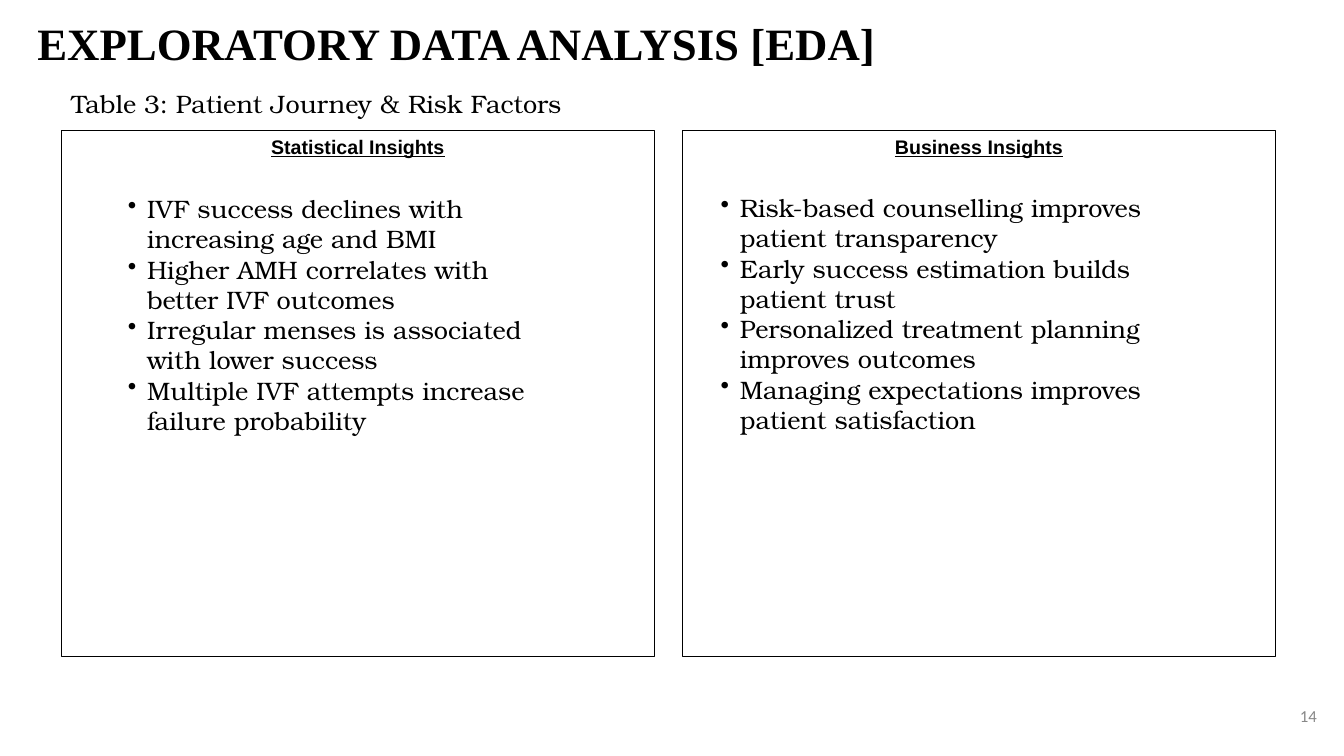
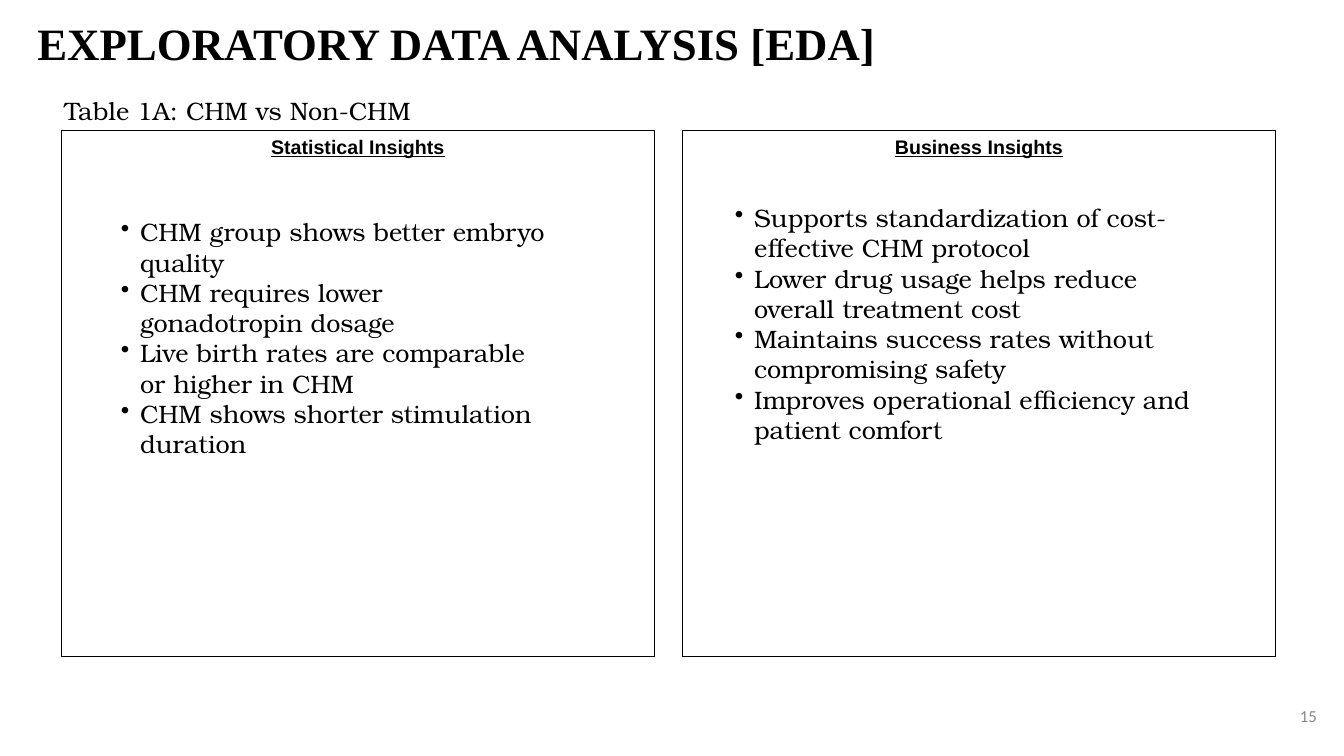
"""Build two exploratory data analysis slides with paired insight panels."""
from lxml import etree
from pptx import Presentation
from pptx.dml.color import RGBColor
from pptx.enum.shapes import MSO_SHAPE
from pptx.enum.text import MSO_ANCHOR, PP_ALIGN
from pptx.oxml.ns import qn
from pptx.util import Inches, Pt

RECT = MSO_SHAPE.RECTANGLE
MIDDLE = MSO_ANCHOR.MIDDLE
LEFT, CENTER, RIGHT = PP_ALIGN.LEFT, PP_ALIGN.CENTER, PP_ALIGN.RIGHT

TITLE = "EXPLORATORY DATA ANALYSIS [EDA]"
HEADINGS = ("Statistical Insights", "Business Insights")
SLIDES = [
    {
        "number": "14",
        "caption": ("Table 3: Patient Journey & Risk Factors", (0.61, 0.83, 6.69, 0.4)),
        "insights": [
            ((1.17, 1.87, 4.32, 2.52), [
                "IVF success declines with increasing age and BMI",
                "Higher AMH correlates with better IVF outcomes",
                "Irregular menses is associated with lower success",
                "Multiple IVF attempts increase failure probability",
            ]),
            ((7.05, 1.86, 4.79, 2.52), [
                "Risk-based counselling improves patient transparency",
                "Early success estimation builds patient trust",
                "Personalized treatment planning improves outcomes",
                "Managing expectations improves patient satisfaction",
            ]),
        ],
    },
    {
        "number": "15",
        "caption": ("Table 1A: CHM vs Non-CHM", (0.54, 0.9, 6.69, 0.4)),
        "insights": [
            ((1.1, 2.1, 4.45, 2.52), [
                "CHM group shows better embryo quality",
                "CHM requires lower gonadotropin dosage",
                "Live birth rates are comparable or higher in CHM",
                "CHM shows shorter stimulation duration",
            ]),
            ((7.19, 1.96, 4.76, 2.52), [
                "Supports standardization of cost-effective CHM protocol",
                "Lower drug usage helps reduce overall treatment cost",
                "Maintains success rates without compromising safety",
                "Improves operational efficiency and patient comfort",
            ]),
        ],
    },
]

BLACK, GREY = "000000", "888888"
TITLE_FONT = {"name": "Times New Roman", "size": Pt(32), "bold": True}
HEADING_FONT = {"name": "Arial", "size": Pt(14), "bold": True, "underline": True}
BODY_FONT = {"name": "TeX Gyre Bonum", "size": Pt(18)}
NUMBER_FONT = {"name": "Calibri", "size": Pt(12)}

TITLE_BOX = (0.27, 0.16, 10.11, 0.59)
NUMBER_BOX = (12.73, 6.94, 0.43, 0.32)
PANEL_LEFT, PANEL_TOP, PANEL_W, PANEL_H, PANEL_GAP = 0.61, 1.29, 5.88, 5.22, 0.28
HEADING_H = 0.34
BULLET_INDENT = Inches(0.19)


def rgb(value):
    return RGBColor.from_string(value)


def inches(box):
    return [Inches(v) for v in box]


def add_bullet(p):
    pPr = p._p.get_or_add_pPr()
    pPr.set("marL", str(BULLET_INDENT))
    pPr.set("indent", str(-BULLET_INDENT))
    etree.SubElement(pPr, qn("a:buChar")).set("char", "•")


def write(tf, lines, font, color=BLACK, align=LEFT, bullets=False):
    tf.word_wrap = True
    for i, line in enumerate(lines):
        p = tf.add_paragraph() if i else tf.paragraphs[0]
        p.alignment = align
        if bullets:
            add_bullet(p)
        r = p.add_run()
        r.text = line
        for name, value in font.items():
            setattr(r.font, name, value)
        r.font.color.rgb = rgb(color)


def add_text(s, box, lines, font, **options):
    tf = s.shapes.add_textbox(*inches(box)).text_frame
    write(tf, lines, font, **options)
    return tf


def add_title(s):
    sp = s.shapes.title
    sp.left, sp.top, sp.width, sp.height = inches(TITLE_BOX)
    tf = sp.text_frame
    tf.vertical_anchor = MIDDLE
    write(tf, [TITLE], TITLE_FONT)
    tf.paragraphs[0].line_spacing = 0.9


def add_panel(s, column, heading):
    left = PANEL_LEFT + column * (PANEL_W + PANEL_GAP)
    sp = s.shapes.add_shape(RECT, *inches((left, PANEL_TOP, PANEL_W, PANEL_H)))
    sp.shadow.inherit = False
    sp.fill.background()
    sp.line.color.rgb = rgb(BLACK)
    sp.line.width = Pt(0.75)
    add_text(s, (left, PANEL_TOP, PANEL_W, HEADING_H), [heading],
             HEADING_FONT, align=CENTER)


def build_slide(prs, content):
    s = prs.slides.add_slide(prs.slide_layouts[5])
    add_title(s)
    number = add_text(s, NUMBER_BOX, [content["number"]], NUMBER_FONT,
                      color=GREY, align=RIGHT)
    number.vertical_anchor = MIDDLE
    for column, heading in enumerate(HEADINGS):
        add_panel(s, column, heading)
    for box, lines in content["insights"]:
        add_text(s, box, lines, BODY_FONT, bullets=True)
    caption, box = content["caption"]
    add_text(s, box, [caption], BODY_FONT)


def main():
    prs = Presentation()
    prs.slide_width, prs.slide_height = Inches(13.33), Inches(7.5)
    for content in SLIDES:
        build_slide(prs, content)
    prs.save("out.pptx")


if __name__ == "__main__":
    main()
